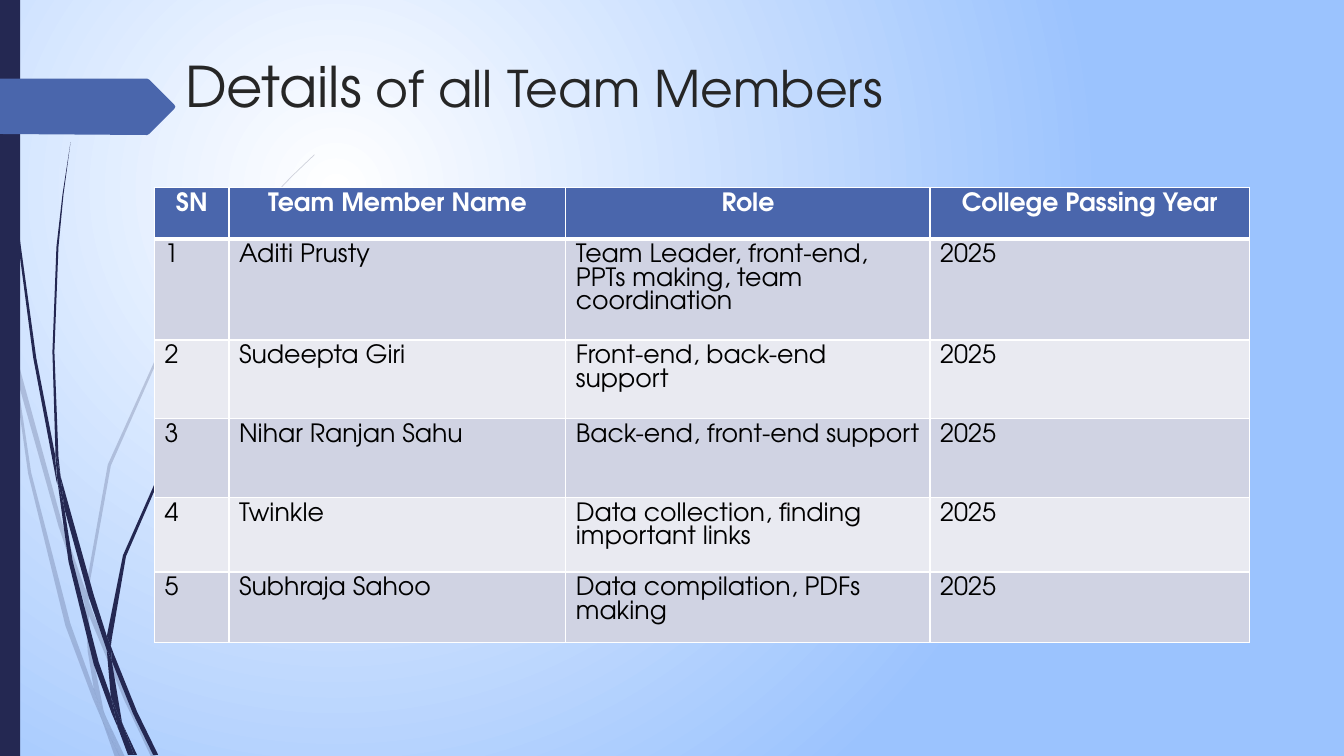
from dataclasses import dataclass

from lxml import etree
from pptx import Presentation
from pptx import util as u
from pptx.dml.color import RGBColor
from pptx.enum import shapes, text
from pptx.oxml.ns import qn

FONT = "TeX Gyre Adventor"
NAVY, BLUE, WHITE, BLACK, INK = "242852", "4A66AC", "FFFFFF", "000000", "262626"
BANDS = ("D0D3E3", "E9EAF1")
GRID = 0.72


@dataclass(frozen=True)
class Outline:
    """A closed outline whose x,y pairs count steps of GRID points."""
    color: str
    alpha: int
    points: str


@dataclass(frozen=True)
class Member:
    """One team member in the table."""
    name: str
    role: str
    year: str = "2025"


PALE_BLADES = (
    "11,350 9,322 0,282 0,299 10,344",
    "58,522 84,599 85,586 62,520 14,345 17,376",
    "92,607 88,596 88,610 123,694 150,751 155,751 127,692",
    "119,751 124,751 105,711",
    "93,683 70,619 31,469 17,376 11,350 28,470 65,621 92,693 101,714 99,707",
    "84,599 87,646 93,683 96,692 105,711 103,706 91,646 88,610 88,608",
    "88,584 110,462 160,349 229,245 268,198 290,175 312,154 312,153 289,175 "
    "268,197 228,244 158,348 107,461 85,584 85,586 88,596",
    "101,714 114,751 119,751",
    "88,608 88,610 88,596 85,586 84,599",
    "96,692 93,683 99,707 101,714 119,751 105,711",
)
DARK_BLADES = (
    "7,110 17,233 33,355 56,477 57,481 55,457 55,453 36,355 19,232 8,109 5,48 4,0 3,0 4,48",
    "88,592 106,645 106,633 106,631 93,590 60,472 64,505",
    "113,649 110,641 111,656 132,708 152,749 157,749 136,706",
    "110,691 98,657 72,556 64,505 57,477 68,557 93,659 111,708 117,722 116,717",
    "60,472 58,453 54,349 58,245 63,193 70,141 62,193 56,245 52,349 55,449",
    "133,749 136,749 122,719",
    "57,477 64,505 60,472 55,449 55,453",
    "111,633 125,552 158,476 205,406 231,374 245,359 261,344 260,344 245,358 "
    "231,373 204,405 156,474 122,551 106,631 110,641",
    "117,722 127,749 131,749",
    "106,645 110,691 116,706 122,719 121,716 111,656 109,651",
    "106,645 109,651 111,656 110,641 106,631 106,633",
    "116,706 110,691 116,717 117,722 130,749 133,749 122,719",
)
ARROW = "0,78 146,78 148,79 173,104 174,106 173,108 148,133 146,134 0,133"
HEADINGS = ("SN", "Team Member Name", "Role", "College Passing Year")
MEMBERS = (
    Member("Aditi Prusty", "Team Leader, front-end, PPTs making, team coordination"),
    Member("Sudeepta Giri", "Front-end, back-end support"),
    Member("Nihar Ranjan Sahu", "Back-end, front-end support"),
    Member("Twinkle", "Data collection, finding important links"),
    Member("Subhraja Sahoo", "Data compilation, PDFs making"),
)
COL_WIDTHS = (53.2, 240.6, 260.2, 228)
ROW_HEIGHTS = (36.7, 56.2, 56.2, 56.2, 53.3, 48.7)


def rgb(color: str) -> RGBColor:
    """Turn a hex string into a colour."""
    return RGBColor.from_string(color)


def paint(sp, color: str, alpha: int = 100) -> None:
    """Fill a shape plainly, without line or shadow."""
    sp.fill.solid()
    sp.fill.fore_color.rgb = rgb(color)
    sp.line.fill.background()
    sp.shadow.inherit = False
    if alpha < 100:
        clr = sp.element.spPr.find(".//" + qn("a:srgbClr"))
        etree.SubElement(clr, qn("a:alpha"), val=str(alpha * 1000))


def draw_outline(s, outline: Outline) -> None:
    """Draw a closed outline."""
    pts = [tuple(u.Pt(float(v) * GRID) for v in pair.split(","))
           for pair in outline.points.split()]
    builder = s.shapes.build_freeform(*pts[0])
    builder.add_line_segments(pts[1:], close=True)
    paint(builder.convert_to_shape(), outline.color, outline.alpha)


def add_run(p, words: str, *, size: float, color: str, bold: bool = False) -> None:
    """Append formatted text to a paragraph."""
    r = p.add_run()
    r.text = words
    r.font.name, r.font.size, r.font.bold = FONT, u.Pt(size), bold
    r.font.color.rgb = rgb(color)


def set_background(s) -> None:
    """Fill the background with a circular glow in the upper left."""
    fill = s.background.fill
    fill.gradient()
    for stop, color in zip(fill.gradient_stops, (WHITE, "9BC3FE")):
        stop.color.rgb = rgb(color)
    grad = s.element.find(".//" + qn("a:gradFill"))
    lin = grad.find(qn("a:lin"))
    glow = etree.Element(qn("a:path"), {"path": "circle"})
    etree.SubElement(glow, qn("a:fillToRect"), l="50000", t="50000", r="100000", b="100000")
    grad.replace(lin, glow)


def set_borders(cell, bottom: float) -> None:
    """Give a cell white borders, with its own bottom width."""
    props = cell._tc.get_or_add_tcPr()
    widths = {"lnL": 1, "lnR": 1, "lnT": 1, "lnB": bottom}
    for i, (tag, width) in enumerate(widths.items()):
        ln = etree.Element(qn("a:" + tag), w=str(u.Pt(width)))
        solid = etree.SubElement(ln, qn("a:solidFill"))
        etree.SubElement(solid, qn("a:srgbClr"), val=WHITE)
        props.insert(i, ln)


def fill_cell(cell, words: str, *, fill: str, color: str = BLACK, header: bool = False) -> None:
    """Write and format one table cell."""
    cell.fill.solid()
    cell.fill.fore_color.rgb = rgb(fill)
    p = cell.text_frame.paragraphs[0]
    if header:
        p.alignment = text.PP_ALIGN.CENTER
    add_run(p, words, size=18, color=color, bold=header)
    set_borders(cell, 3 if header else 1)


def add_members(s) -> None:
    """Add the table of team members."""
    frame = s.shapes.add_table(len(ROW_HEIGHTS), len(COL_WIDTHS), u.Pt(110.4), u.Pt(134.2),
                               u.Pt(sum(COL_WIDTHS)), u.Pt(sum(ROW_HEIGHTS)))
    table = frame.table
    for col, width in zip(table.columns, COL_WIDTHS):
        col.width = u.Pt(width)
    for row, height in zip(table.rows, ROW_HEIGHTS):
        row.height = u.Pt(height)
    for cell, words in zip(table.rows[0].cells, HEADINGS):
        fill_cell(cell, words, fill=BLUE, color=WHITE, header=True)
    for i, m in enumerate(MEMBERS):
        for cell, words in zip(table.rows[i + 1].cells, (str(i + 1), m.name, m.role, m.year)):
            fill_cell(cell, words, fill=BANDS[i % 2])


def add_title(s) -> None:
    """Add the slide title."""
    tf = s.shapes.add_textbox(u.Pt(125.3), u.Pt(33.1), u.Pt(566), u.Pt(100.8)).text_frame
    tf.word_wrap = True
    p = tf.paragraphs[0]
    add_run(p, "Details", size=40, color=INK)
    add_run(p, " of all Team Members", size=36, color=INK)


def main() -> None:
    """Build and save the slide."""
    prs = Presentation()
    prs.slide_width, prs.slide_height = u.Pt(960), u.Pt(540)
    s = prs.slides.add_slide(prs.slide_layouts[6])
    set_background(s)
    for color, alpha, blades in ((NAVY, 20, PALE_BLADES), (NAVY, 100, DARK_BLADES)):
        for points in blades:
            draw_outline(s, Outline(color, alpha, points))
    bar = s.shapes.add_shape(shapes.MSO_SHAPE.RECTANGLE, 0, 0, u.Pt(14.4), u.Pt(540))
    paint(bar, NAVY)
    draw_outline(s, Outline(BLUE, 100, ARROW))
    add_title(s)
    add_members(s)
    prs.save("out.pptx")


main()
